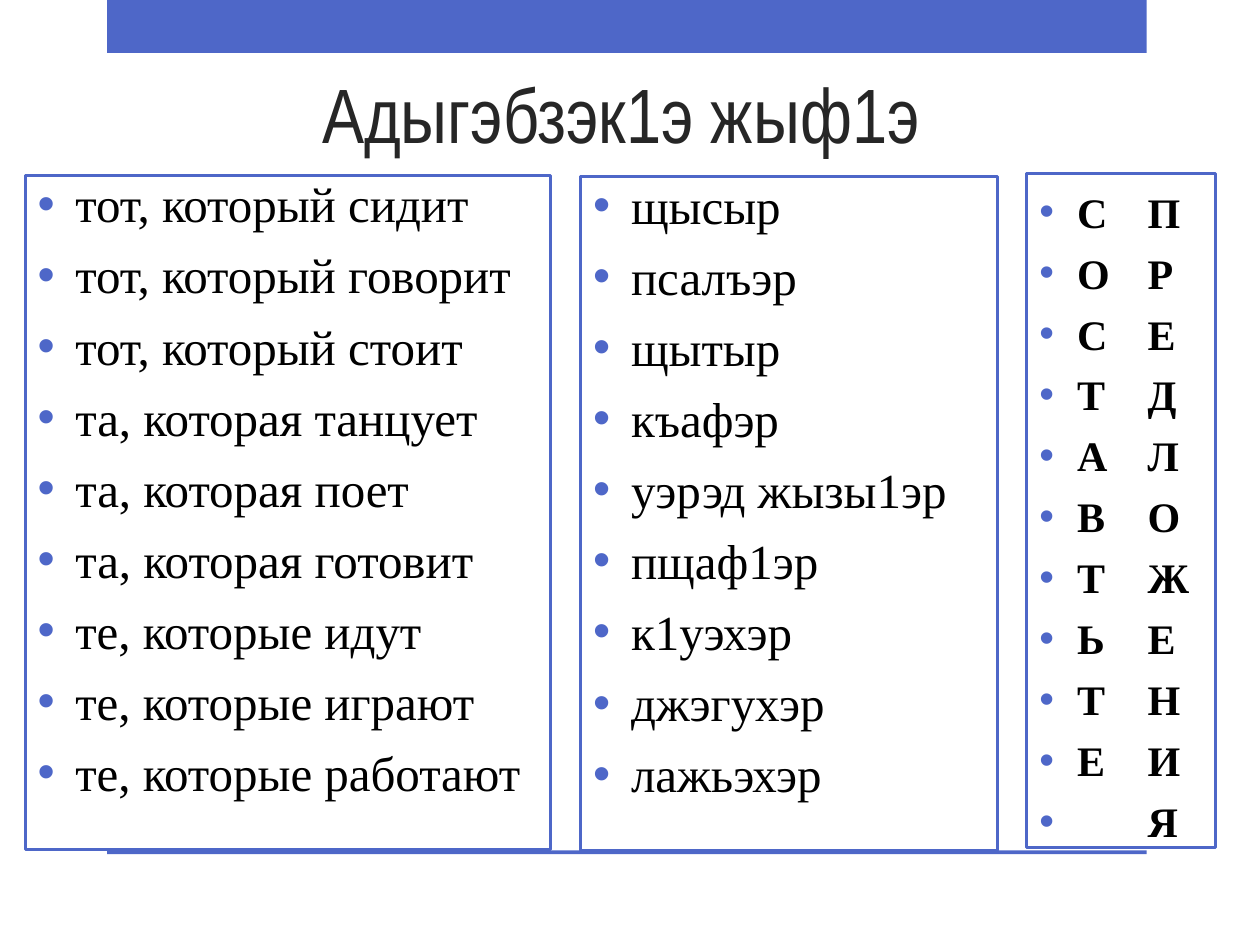
"""Build a vocabulary slide with three bulleted columns."""
from dataclasses import dataclass

from lxml import etree
from pptx import Presentation
from pptx.dml.color import RGBColor
from pptx.enum.shapes import MSO_SHAPE
from pptx.enum.text import MSO_ANCHOR, PP_ALIGN
from pptx.oxml.ns import qn
from pptx.shapes.autoshape import Shape
from pptx.slide import Slide
from pptx.util import Inches, Pt

RECTANGLE = MSO_SHAPE.RECTANGLE
MIDDLE, BOTTOM = MSO_ANCHOR.MIDDLE, MSO_ANCHOR.BOTTOM
LEFT, CENTER = PP_ALIGN.LEFT, PP_ALIGN.CENTER
BLUE, WHITE, BLACK, DARK = "4E67C8", "FFFFFF", "000000", "262626"
INDENT, LETTER_TAB = 0.3, 0.86
COLUMN_HEIGHT = 5.35


@dataclass
class Column:
    """A framed list: position, insets, type and lines."""
    left: float
    top: float
    width: float
    inset_top: float
    inset_bottom: float
    size: int
    bold: bool
    lines: list[str]


FIRST_WORD, SECOND_WORD = "СОСТАВТЬТЕ ", "ПРЕДЛОЖЕНИЯ"

COLUMNS = [
    Column(0.2, 1.39, 4.17, 0.08, 0.47, 28, False, [
        "тот, который сидит", "тот, который говорит", "тот, который стоит",
        "та, которая танцует", "та, которая поет", "та, которая готовит",
        "те, которые идут", "те, которые играют", "те, которые работают"]),
    Column(4.61, 1.4, 3.31, 0.08, 0.47, 28, False, [
        "щысыр", "псалъэр", "щытыр", "къафэр", "уэрэд жызы1эр",
        "пщаф1эр", "к1уэхэр", "джэгухэр", "лажьэхэр"]),
    Column(8.15, 1.38, 1.5, 0.13, 0.05, 24, True, [
        f"{first.strip()}\t{second}"
        for first, second in zip(FIRST_WORD, SECOND_WORD)]),
]


def color(value: str) -> RGBColor:
    """Turn a hex string into a colour."""
    return RGBColor.from_string(value)


def add_block(page: Slide, left: float, top: float, width: float,
              height: float, fill: str, line: str | None = None) -> Shape:
    """Draw a plain rectangle with an optional outline."""
    block = page.shapes.add_shape(RECTANGLE, Inches(left), Inches(top),
                                  Inches(width), Inches(height))
    block.shadow.inherit = False
    block.fill.solid()
    block.fill.fore_color.rgb = color(fill)
    if line:
        block.line.color.rgb = color(line)
        block.line.width = Pt(1.75)
    else:
        block.line.fill.background()
    return block


def add_bullet(para) -> None:
    """Give a paragraph a hanging blue bullet and a tab for the second letter."""
    properties = para._p.get_or_add_pPr()
    properties.set("marL", str(Inches(INDENT)))
    properties.set("indent", str(-Inches(INDENT)))
    tint = etree.SubElement(properties, qn("a:buClr"))
    etree.SubElement(tint, qn("a:srgbClr"), val=BLUE)
    etree.SubElement(properties, qn("a:buFont"), typeface="Arial")
    etree.SubElement(properties, qn("a:buChar"), char="•")
    if "\t" in para.text:
        tabs = etree.SubElement(properties, qn("a:tabLst"))
        etree.SubElement(tabs, qn("a:tab"), pos=str(Inches(LETTER_TAB)), algn="l")


def write(para, text: str, *, font: str, size: int, ink: str,
          bold: bool = False, align=LEFT, bullet: bool = False,
          before: float = 0) -> None:
    """Fill a paragraph with formatted text."""
    span = para.add_run()
    span.text = text
    if bullet:
        add_bullet(para)
    para.alignment = align
    para.space_before = Pt(before)
    span.font.name = font
    span.font.size = Pt(size)
    span.font.bold = bold
    span.font.color.rgb = color(ink)


def add_title(page: Slide, text: str) -> None:
    """Place the centred heading."""
    box = page.shapes.add_textbox(Inches(1.22), Inches(0.21),
                                  Inches(7.42), Inches(1.1))
    frame = box.text_frame
    frame.word_wrap = True
    frame.vertical_anchor = BOTTOM
    write(frame.paragraphs[0], text, font="Arial Narrow", size=44,
          ink=DARK, align=CENTER)


def add_column(page: Slide, column: Column) -> None:
    """Draw a framed column and its bulleted lines."""
    box = add_block(page, column.left, column.top, column.width,
                    COLUMN_HEIGHT, WHITE, BLUE)
    frame = box.text_frame
    frame.word_wrap = True
    frame.vertical_anchor = MIDDLE
    frame.margin_top = Inches(column.inset_top)
    frame.margin_bottom = Inches(column.inset_bottom)
    for index, line in enumerate(column.lines):
        para = frame.add_paragraph() if index else frame.paragraphs[0]
        write(para, line, font="Times New Roman", size=column.size, ink=BLACK,
              bold=column.bold, bullet=True,
              before=column.size / 4 if index else 0)


def main() -> None:
    """Build and save the deck."""
    deck = Presentation()
    deck.slide_width, deck.slide_height = Inches(10), Inches(7.5)
    page = deck.slides.add_slide(deck.slide_layouts[6])
    for top, height in ((0, 0.42), (6.75, 0.03)):
        add_block(page, 0.85, top, 8.25, height, BLUE)
    add_title(page, "Адыгэбзэк1э жыф1э")
    for column in COLUMNS:
        add_column(page, column)
    deck.save("out.pptx")


if __name__ == "__main__":
    main()
